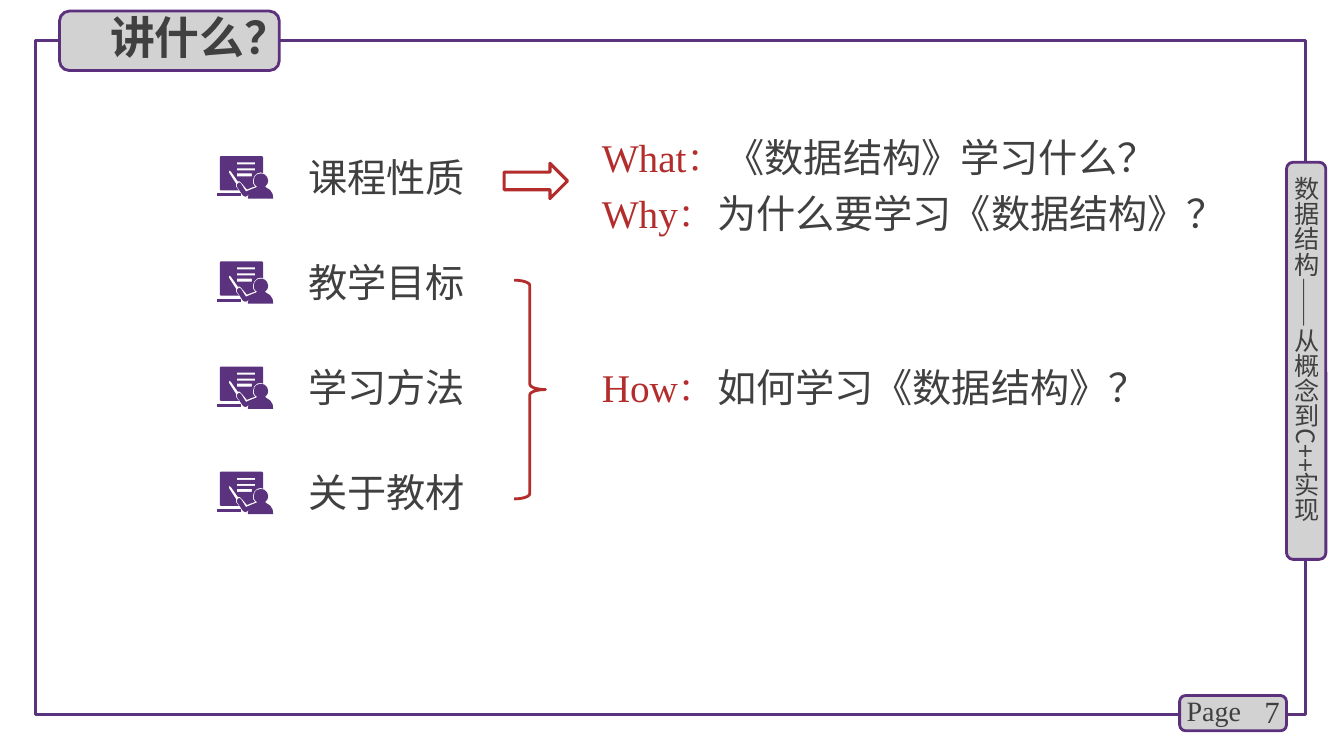
import pptx
import pptx.dml.color
import pptx.enum.shapes
import pptx.enum.text
import pptx.oxml.ns
import pptx.util
from lxml import etree

Inches = pptx.util.Inches
Pt = pptx.util.Pt
RGBColor = pptx.dml.color.RGBColor
MSO_SHAPE = pptx.enum.shapes.MSO_SHAPE
PP_ALIGN = pptx.enum.text.PP_ALIGN
MSO_ANCHOR = pptx.enum.text.MSO_ANCHOR
qn = pptx.oxml.ns.qn

PURPLE = RGBColor(0x5A, 0x32, 0x7D)
EDGE = RGBColor(0x5C, 0x30, 0x7D)
GREY = RGBColor(0xD2, 0xD2, 0xD2)
INK = RGBColor(0x40, 0x40, 0x40)
RED = RGBColor(0xB4, 0x2D, 0x2D)
CJK = "Noto Sans CJK SC"
LATIN = "Times New Roman"

TOPICS = ["课程性质", "教学目标", "学习方法", "关于教材"]
ROW_PITCH = 3.13 / 3


def box(left, top, right, bottom):
    return [(left, top), (right, top), (right, bottom), (left, bottom)]


TEACHER = [
    (31, 42), (31, 40), (32, 38), (29, 40), (28, 40), (26, 39), (20, 30),
    (20, 28), (21, 27), (22, 26), (24, 27), (29, 35), (36, 32), (39, 31),
    (40, 30), (38, 28.5), (37, 26.5), (37, 24), (37.5, 20.5), (40, 18),
    (44, 17), (47.5, 18), (50, 20.5), (51, 24), (50.5, 27), (49, 29),
    (48, 30), (49, 31), (53, 33.5), (55.5, 37.5), (56, 42),
]
BOARD = [
    (45, 0), (4, 0), (3, 1), (3, 33), (4, 34), (22, 34), (19, 30), (19, 27),
    (12, 16), (12, 14), (14, 15), (21, 25), (23, 25), (25, 27), (30, 33),
    (35, 31), (38, 30), (36, 27), (36, 24), (37, 20), (40, 17), (44, 16),
    (46, 17), (46, 1),
]
WRITING = [box(20, 17, 35, 20), box(20, 12, 38, 14), box(20, 6, 38, 8)]
LEDGE = box(0, 37, 24, 40)
ICON_PARTS = [[TEACHER], [BOARD] + WRITING, [LEDGE]]


class Deck:
    def __init__(self):
        self.prs = pptx.Presentation()
        self.prs.slide_width = Inches(13.33)
        self.prs.slide_height = Inches(7.5)
        self.slide = self.prs.slides.add_slide(self.prs.slide_layouts[5])
        self.shapes = self.slide.shapes

    def shape(self, kind, left, top, width, height, line, weight, fill=None):
        sp = self.shapes.add_shape(
            kind, Inches(left), Inches(top), Inches(width), Inches(height))
        sp.shadow.inherit = False
        if fill is None:
            sp.fill.background()
        else:
            sp.fill.solid()
            sp.fill.fore_color.rgb = fill
        sp.line.color.rgb = line
        sp.line.width = Pt(weight)
        return sp

    def tab(self, left, top, width, height):
        return self.shape(MSO_SHAPE.ROUNDED_RECTANGLE, left, top, width, height,
                          EDGE, 2, GREY)

    def style(self, r, size, font, color, bold=False):
        r.font.size = Pt(size)
        r.font.bold = bold
        r.font.color.rgb = color
        r.font.name = font
        ea = etree.SubElement(r.font._element, qn("a:ea"))
        ea.set("typeface", font)

    def text(self, left, top, width, height, lines, size=28,
             align=PP_ALIGN.LEFT, anchor=MSO_ANCHOR.TOP, spacing=None):
        sp = self.shapes.add_textbox(
            Inches(left), Inches(top), Inches(width), Inches(height))
        tf = sp.text_frame
        tf.word_wrap = True
        tf.vertical_anchor = anchor
        for i, runs in enumerate(lines):
            p = tf.add_paragraph() if i else tf.paragraphs[0]
            p.alignment = align
            if spacing:
                p.line_spacing = Pt(spacing)
            for words, font, color in runs:
                r = p.add_run()
                r.text = words
                self.style(r, size, font, color)
        return sp

    def vertical_text(self, left, top, width, height, words, size):
        sp = self.text(left, top, width, height, [[(words, CJK, INK)]], size)
        tf = sp.text_frame
        tf.margin_left = tf.margin_right = tf.margin_top = tf.margin_bottom = 0
        tf._txBody.bodyPr.set("vert", "eaVert")

    def title(self, left, top, width, height, words):
        sp = self.shapes.title
        sp.left, sp.top = Inches(left), Inches(top)
        sp.width, sp.height = Inches(width), Inches(height)
        tf = sp.text_frame
        tf.text = words
        tf.word_wrap = True
        tf.auto_size = pptx.enum.text.MSO_AUTO_SIZE.NONE
        tf.vertical_anchor = MSO_ANCHOR.TOP
        p = tf.paragraphs[0]
        p.alignment = PP_ALIGN.CENTER
        self.style(p.runs[0], 32, CJK, INK, bold=True)
        self.shapes._spTree.append(sp._element)

    def icon(self, left, top):
        group = self.shapes.add_group_shape()
        for contours in ICON_PARTS:
            outlines = [[(x * 10, y * 10) for x, y in c] for c in contours]
            builder = group.shapes.build_freeform(
                *outlines[0][0], scale=Inches(0.001))
            builder.add_line_segments(outlines[0][1:])
            for hole in outlines[1:]:
                builder.move_to(*hole[0])
                builder.add_line_segments(hole[1:])
            sp = builder.convert_to_shape(Inches(left), Inches(top))
            sp.shadow.inherit = False
            sp.fill.solid()
            sp.fill.fore_color.rgb = PURPLE
            sp.line.fill.background()


def main():
    deck = Deck()
    deck.shape(MSO_SHAPE.RECTANGLE, 0.35, 0.4, 12.6, 6.69, PURPLE, 2.25)

    deck.tab(11.7, 6.9, 1.06, 0.35)
    deck.text(12.2, 6.86, 0.59, 0.4, [[("7", LATIN, INK)]], 22,
              PP_ALIGN.RIGHT, MSO_ANCHOR.MIDDLE)
    deck.text(11.67, 6.83, 0.78, 0.44, [[("Page", LATIN, INK)]], 20)

    deck.tab(12.76, 1.61, 0.39, 3.94)
    deck.vertical_text(12.81, 1.75, 0.3, 3.78, "数据结构——从概念到C++实现", 18)

    deck.tab(0.59, 0.11, 2.18, 0.59)
    deck.title(0.81, 0.05, 1.9, 0.64, "讲什么？")

    for row, topic in enumerate(TOPICS):
        drop = row * ROW_PITCH
        deck.icon(2.15, 1.55 + drop)
        deck.text(2.96, 1.47 + drop, 2.04, 0.57, [[(topic, CJK, INK)]])

    deck.shape(MSO_SHAPE.RIGHT_ARROW, 5, 1.62, 0.63, 0.35, RED, 2.25)
    deck.text(5.87, 1.18, 6.48, 1.22, [
        [("What：", LATIN, RED), ("《数据结构》学习什么？", CJK, INK)],
        [("Why：", LATIN, RED), ("为什么要学习《数据结构》？", CJK, INK)],
    ], spacing=40)

    brace = deck.shape(MSO_SHAPE.RIGHT_BRACE, 5.1, 2.78, 0.31, 2.17, RED, 2)
    brace.adjustments[0] = 0.17
    deck.text(5.87, 3.56, 5.78, 0.57, [
        [("How：", LATIN, RED), ("如何学习《数据结构》？", CJK, INK)],
    ])

    deck.prs.save("out.pptx")


if __name__ == "__main__":
    main()
